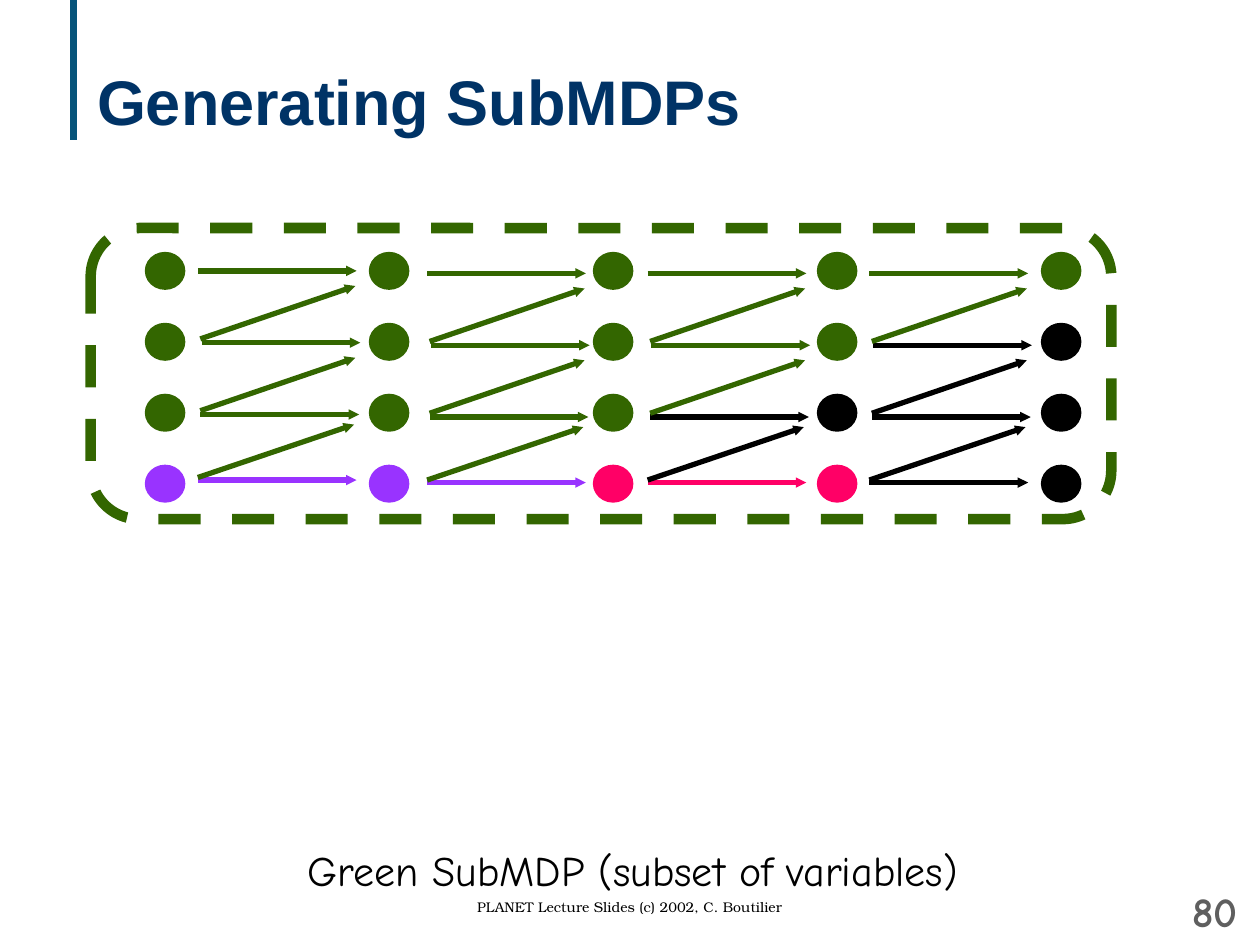
from dataclasses import dataclass

from lxml.etree import SubElement
from pptx import Presentation
from pptx.dml.color import RGBColor as RGB
from pptx.enum.dml import MSO_LINE as Dash
from pptx.enum.shapes import MSO_CONNECTOR as Conn, MSO_SHAPE as Shape
from pptx.enum.text import MSO_ANCHOR as Anchor, PP_ALIGN as Align
from pptx.oxml.ns import qn
from pptx.util import Inches, Pt


@dataclass(frozen=True)
class Theme:
    navy: str = "003366"
    teal: str = "07547A"
    green: str = "336600"
    violet: str = "9933FF"
    pink: str = "FF0066"
    black: str = "000000"
    gray: str = "5F5F5F"
    head: str = "Arial"
    hand: str = "Comic Neue"
    serif: str = "TeX Gyre Bonum"
    title: int = 36
    body: int = 24
    small: int = 8
    thin: int = 3
    bar: int = 4
    thick: int = 6


T = Theme()
HUES = {"G": T.green, "V": T.violet, "P": T.pink, "K": T.black}

# Each word is one time step, read from the top variable down
NODES = ["GGGV", "GGGV", "GGGP", "GGKP", "GKKK"]
FLAT = ["GGGV", "GGGV", "GGKP", "GKKK"]
RISE = ["GGG", "GGG", "GGK", "GKK"]

# Arrow ends (x1, y1, x2, y2) within one step
FLAT_AT = [(0, 0, 1.26, 0), (0.03, 0.57, 1.29, 0.57),
           (0.02, 1.14, 1.28, 1.14), (0, 1.66, 1.26, 1.66)]
RISE_AT = [(0.02, 0.54, 1.25, 0.12), (0.02, 1.11, 1.25, 0.69),
           (0, 1.64, 1.24, 1.22)]
STEPS = [(0.85, 0.34), (2.67, 0.36), (4.42, 0.36), (6.18, 0.36)]


def box(x, y, w, h):
    return [Inches(v) for v in (x, y, w, h)]


def style(para, font, size, hue, bold=False, align=Align.LEFT):
    para.alignment = align
    para.font.name, para.font.size, para.font.bold = font, Pt(size), bold
    para.font.color.rgb = RGB.from_string(hue)


def add_line(slide, ends, hue, width, arrow=False):
    line = slide.shapes.add_connector(Conn.STRAIGHT, *box(*ends))
    line.line.color.rgb = RGB.from_string(hue)
    line.line.width = Pt(width)
    if arrow:
        SubElement(line.line._get_or_add_ln(), qn("a:tailEnd"),
                   type="triangle", w="sm", len="sm")
    SubElement(line._element.spPr, qn("a:effectLst"))


def add_form(slide, kind, at, hue, width, solid=True):
    form = slide.shapes.add_shape(kind, *box(*at))
    form.shadow.inherit = False
    if solid:
        form.fill.solid()
        form.fill.fore_color.rgb = RGB.from_string(hue)
    else:
        form.fill.background()
    form.line.color.rgb = RGB.from_string(hue)
    form.line.width = Pt(width)
    return form


def add_text(slide, at, text, *look, wrap=True, anchor=Anchor.TOP, **more):
    frame = slide.shapes.add_textbox(*box(*at)).text_frame
    frame.word_wrap, frame.vertical_anchor = wrap, anchor
    frame.text = text
    style(frame.paragraphs[0], *look, **more)


def add_head(slide, x, y, w, h):
    add_line(slide, (x - 0.09, 0, x - 0.09, 1.11), T.teal, T.bar)
    title = slide.shapes.title
    title.left, title.top, title.width, title.height = box(x, y, w, h)
    frame = title.text_frame
    frame.text = "Generating SubMDPs"
    frame.vertical_anchor = Anchor.MIDDLE
    style(frame.paragraphs[0], T.head, T.title, T.navy, bold=True)


def add_net(slide, x, y, w, h):
    """Draw the variables over time, their links and the frame around them."""
    for col, word in enumerate(NODES):
        for row, key in enumerate(word):
            at = (x + 0.45 + 1.778 * col, y + 0.21 + 0.563 * row, 0.28, 0.26)
            add_form(slide, Shape.OVAL, at, HUES[key], T.thin)
    for (dx, dy), flat, rise in zip(STEPS, FLAT, RISE):
        for key, (x1, y1, x2, y2) in zip(flat + rise, FLAT_AT + RISE_AT):
            ends = (x + dx + x1, y + dy + y1, x + dx + x2, y + dy + y2)
            add_line(slide, ends, HUES[key], T.thin, arrow=True)
    frame = add_form(slide, Shape.ROUNDED_RECTANGLE, (x, y, w, h),
                     T.green, T.thick, solid=False)
    frame.line.dash_style = Dash.DASH


def add_foot(slide, x, y, w, h):
    add_text(slide, (x, y, 5.38, 0.5), "Green SubMDP (subset of variables)",
             T.hand, T.body, T.black, wrap=False, align=Align.CENTER)
    add_text(slide, (x + 0.42, y + 0.43, 4.5, 0.25),
             "PLANET Lecture Slides (c) 2002, C. Boutilier",
             T.serif, T.small, T.black, align=Align.CENTER)
    add_text(slide, (x + w - 0.72, y + h - 0.4, 0.72, 0.4), "80",
             T.hand, T.body, T.gray, anchor=Anchor.MIDDLE,
             bold=True, align=Align.RIGHT)


def main():
    deck = Presentation()
    deck.slide_width, deck.slide_height = Inches(10), Inches(7.5)
    slide = deck.slides.add_slide(deck.slide_layouts[5])
    add_head(slide, 0.67, 0.17, 8.92, 1.25)
    add_net(slide, 0.72, 1.81, 8.1, 2.31)
    add_foot(slide, 2.33, 6.65, 7.59, 0.78)
    deck.save("out.pptx")


if __name__ == "__main__":
    main()
